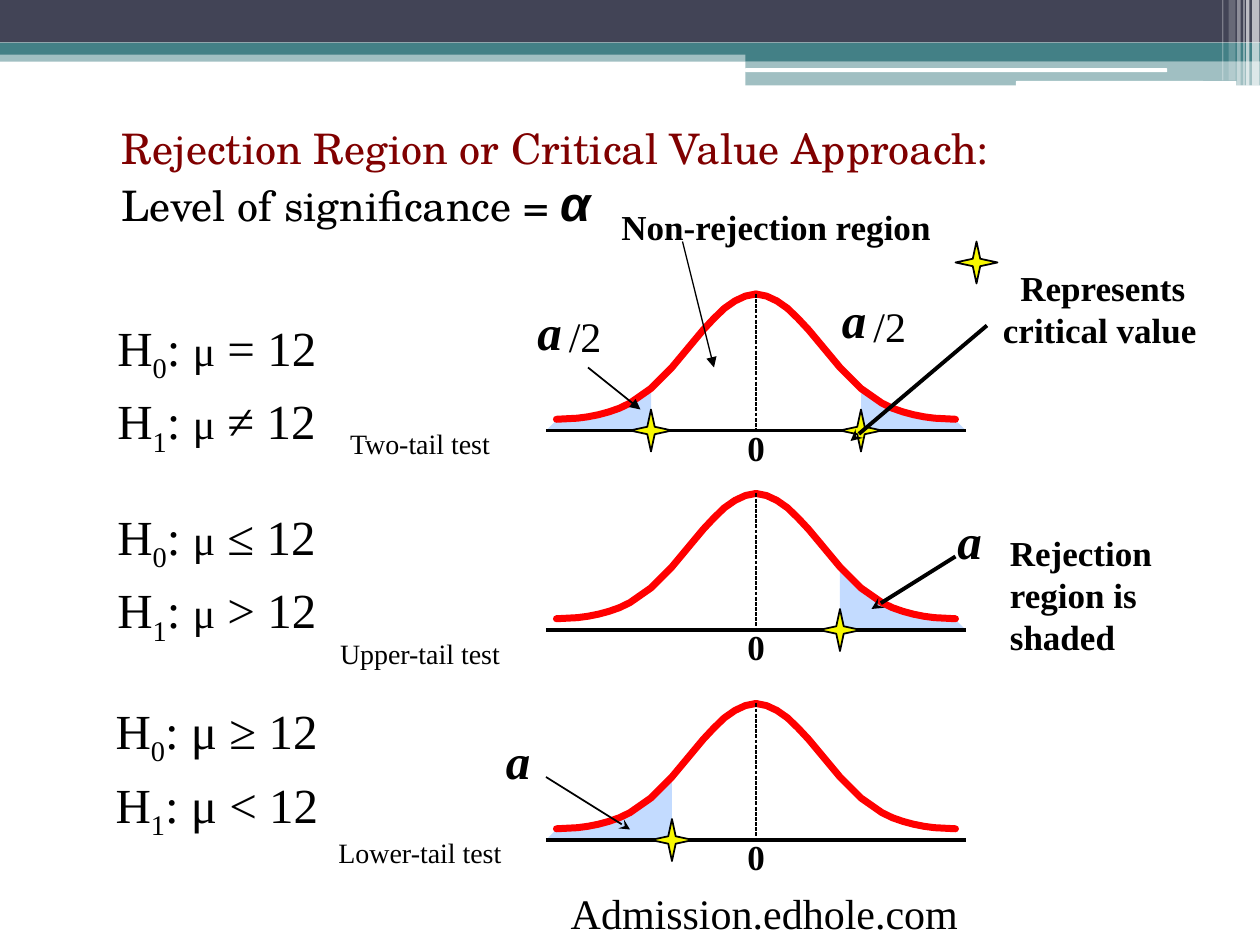
from dataclasses import dataclass
from typing import NamedTuple, Optional

from lxml.etree import SubElement
from pptx import Presentation
from pptx.dml.color import RGBColor
from pptx.enum.dml import MSO_LINE
from pptx.enum.shapes import MSO_CONNECTOR, MSO_SHAPE
from pptx.enum.text import MSO_ANCHOR, PP_ALIGN
from pptx.oxml.ns import qn
from pptx.util import Pt


@dataclass(frozen=True)
class Theme:
    navy: str = "424456"
    teal: str = "438086"
    white: str = "FFFFFF"
    black: str = "000000"
    maroon: str = "800000"
    curve: str = "FF0000"
    shade: str = "C3DBFF"
    star: str = "F8F800"
    serif: str = "Times New Roman"
    heading: str = "TeX Gyre Schola"
    sans: str = "Arial"
    large: float = 28
    medium: float = 24
    label: float = 20
    small: float = 16


THEME = Theme()


class Run(NamedTuple):
    text: str
    size: float = THEME.large
    bold: bool = False
    italic: bool = False
    font: str = THEME.serif
    color: str = THEME.black
    subscript: bool = False


class Line(NamedTuple):
    runs: list[Run]
    indent: float = 0
    spacing: Optional[float] = None


class Band(NamedTuple):
    left: float
    top: float
    width: float
    height: float
    color: str = THEME.white
    opacity: int = 100
    kind: MSO_SHAPE = MSO_SHAPE.RECTANGLE


class Arrow(NamedTuple):
    start: tuple[float, float]
    end: tuple[float, float]
    width: float
    head: str


class Test(NamedTuple):
    caption: str
    base: float
    caption_top: float
    hypothesis_left: float
    hypothesis_top: float
    signs: tuple[str, str]
    mu_size: float
    cutoffs: list[float]


CENTER = 432
HALF_AXIS = 120
PEAK = 78
STAR_RADIUS = 12
CURVE = [(0, 78), (6, 76.8), (12, 74), (18, 69.8), (24, 64), (30, 57.6), (36, 50.4),
         (48, 36), (60, 24), (72, 15.6), (78, 12.7), (84, 10.6), (90, 9), (96, 7.8),
         (102, 7), (114, 6.4)]
HEIGHTS = dict(CURVE)
TAIL = [(HALF_AXIS, 0), (114, 6), (89, 10), (77, 14), (63, 23)]

BANDS = [
    Band(0, 29, 720, 6.3, THEME.teal, 50),
    Band(0, 0, 720, 24.3, THEME.navy),
    Band(0, 24.3, 720, 7, THEME.teal),
    Band(426, 28, 294, 7, THEME.teal),
    Band(426, 34.9, 294, 14, THEME.teal, 50),
    Band(425.8, 39, 241.2, 2.2, kind=MSO_SHAPE.ROUNDED_RECTANGLE),
    Band(580.5, 46.3, 126, 2.8, kind=MSO_SHAPE.ROUNDED_RECTANGLE),
    Band(715.5, 0, 4.2, 49, opacity=65),
    Band(712, 0, 2, 49, opacity=65),
    Band(710.5, 0, 0.7, 49, opacity=60),
    Band(707, 0, 2, 49, opacity=40),
    Band(702, 0, 4, 46, opacity=20),
    Band(698.4, 0, 0.7, 46, opacity=30),
]

TESTS = [
    Test("Lower-tail test", 480, 474, 59, 393, ("≥", "<"), THEME.large, [-48]),
    Test("Upper-tail test", 360, 360, 60, 282, ("≤", ">"), THEME.medium, [48]),
    Test("Two-tail test", 246, 240, 60, 174, ("=", "≠"), THEME.medium, [-60, 60]),
]

ARROWS = [
    Arrow((312, 444), (360, 474), 1, "stealth"),
    Arrow((546, 318), (498, 348), 2.25, "stealth"),
    Arrow((336, 210), (366, 234), 1, "triangle"),
    Arrow((564, 186), (486, 252), 2.25, "stealth"),
    Arrow((390, 138), (408, 210), 0.75, "triangle"),
]

ALPHAS = [(282, 414), (540, 288), (474, 162), (300, 168.5)]
HALVES = [(492, 168), (318, 174)]


def rgb(color: str) -> RGBColor:
    return RGBColor.from_string(color)


def add_band(slide, band: Band) -> None:
    shape = slide.shapes.add_shape(band.kind, Pt(band.left), Pt(band.top),
                                   Pt(band.width), Pt(band.height))
    shape.shadow.inherit = False
    shape.line.fill.background()
    shape.fill.solid()
    shape.fill.fore_color.rgb = rgb(band.color)
    if band.opacity < 100:
        color = shape.fill._xPr.find(qn("a:solidFill"))[0]
        SubElement(color, qn("a:alpha"), val=str(band.opacity * 1000))


def add_text(slide, left: float, top: float, width: float, height: float,
             lines: list[Line], align=PP_ALIGN.LEFT, fill: Optional[str] = None,
             inset_top: float = 3.6) -> None:
    shape = slide.shapes.add_textbox(Pt(left), Pt(top), Pt(width), Pt(height))
    if fill:
        shape.fill.solid()
        shape.fill.fore_color.rgb = rgb(fill)
    frame = shape.text_frame
    frame.word_wrap = True
    frame.vertical_anchor = MSO_ANCHOR.TOP
    frame.margin_top = Pt(inset_top)
    for index, line in enumerate(lines):
        paragraph = frame.add_paragraph() if index else frame.paragraphs[0]
        paragraph.alignment = align
        if line.indent:
            paragraph._p.get_or_add_pPr().set("marL", str(Pt(line.indent)))
        if line.spacing:
            paragraph.line_spacing = line.spacing
        for item in line.runs:
            run = paragraph.add_run()
            run.text = item.text
            run.font.name = item.font
            run.font.size = Pt(item.size)
            run.font.bold = item.bold
            run.font.italic = item.italic
            run.font.color.rgb = rgb(item.color)
            if item.subscript:
                run._r.get_or_add_rPr().set("baseline", "-25000")


def add_line(slide, start: tuple[float, float], end: tuple[float, float], width: float):
    connector = slide.shapes.add_connector(MSO_CONNECTOR.STRAIGHT, *map(Pt, start + end))
    connector.line.color.rgb = rgb(THEME.black)
    connector.line.width = Pt(width)
    SubElement(connector._element.spPr, qn("a:effectLst"))
    return connector


def add_arrow(slide, arrow: Arrow) -> None:
    connector = add_line(slide, arrow.start, arrow.end, arrow.width)
    SubElement(connector.line._get_or_add_ln(), qn("a:tailEnd"), type=arrow.head)


def add_outline(slide, points: list[tuple[float, float]], base: float, side: int, close: bool):
    places = [(Pt(CENTER + side * x), Pt(base - y)) for x, y in points]
    builder = slide.shapes.build_freeform(*places[0])
    builder.add_line_segments(places[1:], close=close)
    shape = builder.convert_to_shape()
    shape.shadow.inherit = False
    return shape


def add_star(slide, x: float, y: float) -> None:
    star = slide.shapes.add_shape(MSO_SHAPE.STAR_4_POINT, Pt(x - STAR_RADIUS),
                                  Pt(y - STAR_RADIUS), Pt(2 * STAR_RADIUS), Pt(2 * STAR_RADIUS))
    star.shadow.inherit = False
    star.fill.solid()
    star.fill.fore_color.rgb = rgb(THEME.star)
    star.line.color.rgb = rgb(THEME.black)
    star.line.width = Pt(1)


def add_test(slide, test: Test) -> None:
    for cutoff in test.cutoffs:
        edge = abs(cutoff)
        region = add_outline(slide, TAIL + [(edge, HEIGHTS[edge]), (edge, 0)], test.base,
                             1 if cutoff > 0 else -1, True)
        region.fill.solid()
        region.fill.fore_color.rgb = rgb(THEME.shade)
        region.line.fill.background()
    for side in (-1, 1):
        half = add_outline(slide, CURVE, test.base, side, False)
        half.fill.background()
        half.line.color.rgb = rgb(THEME.curve)
        half.line.width = Pt(4)
        half.line._get_or_add_ln().set("cap", "rnd")
    add_line(slide, (CENTER - HALF_AXIS, test.base), (CENTER + HALF_AXIS, test.base), 2)
    middle = add_line(slide, (CENTER, test.base - PEAK), (CENTER, test.base), 0.75)
    middle.line.dash_style = MSO_LINE.SQUARE_DOT
    for cutoff in test.cutoffs:
        add_star(slide, CENTER + cutoff, test.base)
    add_text(slide, CENTER - 12, test.base - 6, 24, 31, [Line([Run("0", THEME.label, True)])])
    add_text(slide, 180, test.caption_top, 120, 26,
             [Line([Run(test.caption, THEME.small)])], PP_ALIGN.CENTER)
    add_text(slide, test.hypothesis_left, test.hypothesis_top, 165, 91, [
        Line([Run("H"), Run(str(index), subscript=True), Run(": "),
              Run("μ", test.mu_size), Run(f" {sign} 12")], spacing=1.1)
        for index, sign in enumerate(test.signs)])


def main() -> None:
    presentation = Presentation()
    presentation.slide_width, presentation.slide_height = Pt(720), Pt(540)
    slide = presentation.slides.add_slide(presentation.slide_layouts[6])
    for band in BANDS:
        add_band(slide, band)
    for test in TESTS:
        add_test(slide, test)
    for left, top in ALPHAS:
        add_text(slide, left, top, 32, 40, [Line([Run("a", bold=True, italic=True)])])
    for left, top in HALVES:
        add_text(slide, left, top, 50, 36, [Line([Run("/2", THEME.medium)])])
    add_text(slide, 546, 144, 162, 55,
             [Line([Run("Represents", THEME.label, True)], 30),
              Line([Run("critical value", THEME.label, True)], 20)],
             fill=THEME.white, inset_top=8.5)
    add_star(slide, 558, 150)
    add_text(slide, 570, 300, 120, 79,
             [Line([Run("Rejection region is shaded", THEME.label, True)])], fill=THEME.white)
    add_text(slide, 62.6, 66.4, 600, 72, [
        Line([Run("Rejection Region or Critical Value Approach:", THEME.medium,
                  font=THEME.heading, color=THEME.maroon)]),
        Line([Run("Level of significance = ", THEME.medium, font=THEME.heading),
              Run("α", bold=True, italic=True, font=THEME.sans)])])
    add_text(slide, 348, 114, 200, 32, [Line([Run("Non-rejection region", THEME.label, True)])])
    for arrow in ARROWS:
        add_arrow(slide, arrow)
    add_text(slide, 319, 503.5, 250, 36, [Line([Run("Admission.edhole.com", THEME.medium)])])
    presentation.save("out.pptx")


if __name__ == "__main__":
    main()
